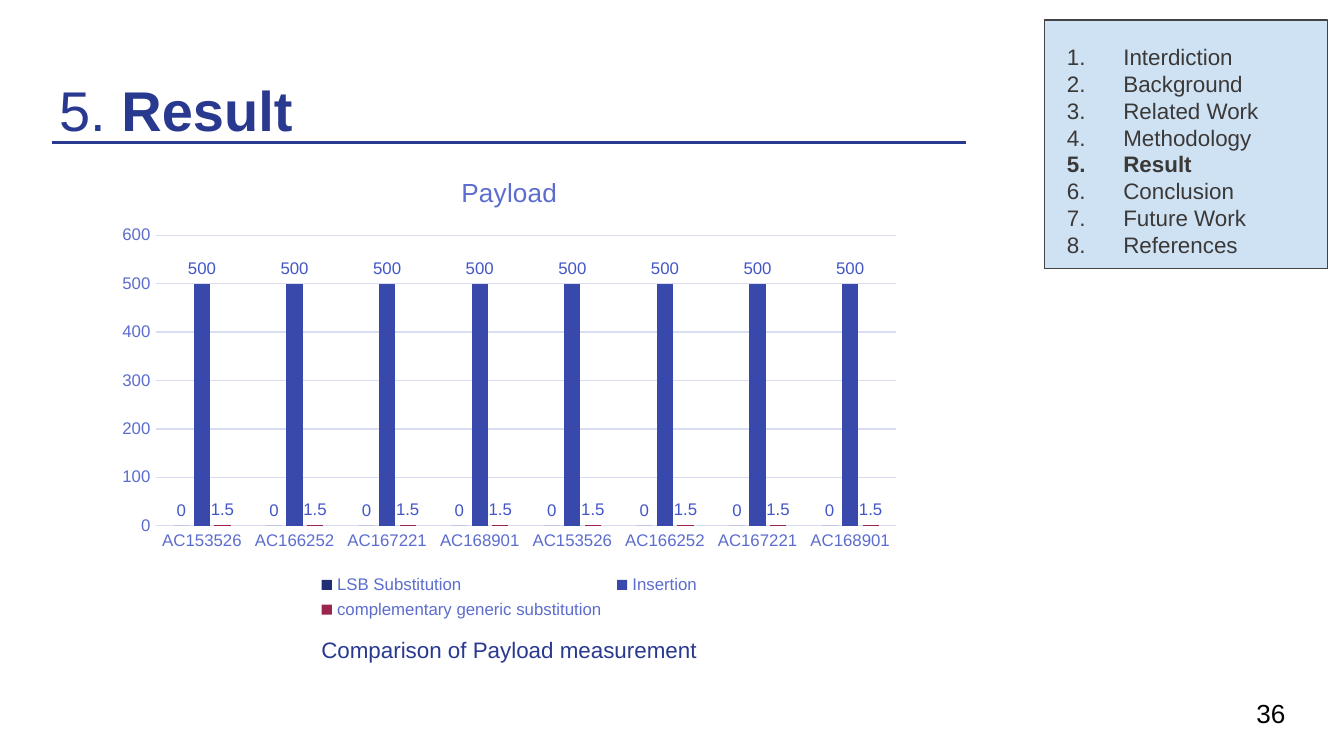
from lxml import etree
from pptx import Presentation
from pptx import util as u
from pptx.chart.data import CategoryChartData
from pptx.dml.color import RGBColor
from pptx.enum import chart as ch, shapes, text
from pptx.oxml import ns

COLORS = {
    "navy": "2A3990", "black": "000000", "gray": "3B3838", "edge": "434343",
    "panel": "CFE2F3", "axis": "5C6DCF", "grid": "D9DDF4", "label": "4356C8",
    "dark": "212D74", "blue": "3949AB", "wine": "9C254D",
}
TOPICS = ["Interdiction", "Background", "Related Work", "Methodology",
          "Result", "Conclusion", "Future Work", "References"]
CODES = ["AC153526", "AC166252", "AC167221", "AC168901"] * 2
SERIES = [
    ("LSB Substitution", 0, "dark"),
    ("Insertion", 500, "blue"),
    ("complementary generic substitution ", 1.5, "wine"),
]


def rgb(name):
    """Look up a palette colour."""
    return RGBColor.from_string(COLORS[name])


def box(*dims):
    """Turn plain numbers into inch lengths."""
    return [u.Inches(n) for n in dims]


def style(font, size, color, bold=None):
    """Set face, size, colour and weight of a font."""
    font.name, font.size, font.bold = "Arial", u.Pt(size), bold
    font.color.rgb = rgb(color)


def setup(frame, anchor, pad=0.1):
    """Set wrap, anchor and insets of a text frame."""
    frame.word_wrap = True
    frame.auto_size = text.MSO_AUTO_SIZE.NONE
    frame.vertical_anchor = anchor
    frame.margin_left = frame.margin_right = u.Inches(0.1)
    frame.margin_top = frame.margin_bottom = u.Inches(pad)


def add_title(slide, number, name):
    """Fill the title placeholder and underline it."""
    title = slide.shapes.title
    title.left, title.top, title.width, title.height = box(0.34, 0.33, 3.07, 0.83)
    setup(title.text_frame, text.MSO_ANCHOR.BOTTOM)
    para = title.text_frame.paragraphs[0]
    para.alignment = text.PP_ALIGN.LEFT
    para.line_spacing = 1.15
    style(para.font, 30, "navy")
    para.add_run().text = number
    run = para.add_run()
    run.text = name
    run.font.bold = True
    rule = slide.shapes.add_connector(
        shapes.MSO_CONNECTOR.STRAIGHT, *box(0.39, 1.06, 7.19, 1.06))
    rule.line.color.rgb = rgb("navy")
    rule.line.width = u.Pt(1.5)
    etree.SubElement(rule._element.spPr, ns.qn("a:effectLst"))


def add_text(slide, dims, words, size, color, align, pad=0.1):
    """Add a one-line text box centred on its height."""
    frame = slide.shapes.add_textbox(*box(*dims)).text_frame
    setup(frame, text.MSO_ANCHOR.MIDDLE, pad)
    para = frame.paragraphs[0]
    para.text, para.alignment = words, align
    style(para.font, size, color)


def number(para):
    """Give a paragraph an automatic number and hanging indent."""
    props = para._p.get_or_add_pPr()
    props.set("marL", str(u.Inches(0.5)))
    props.set("indent", str(u.Inches(-0.42)))
    tint = etree.SubElement(props, ns.qn("a:buClr"))
    etree.SubElement(tint, ns.qn("a:srgbClr"), val=COLORS["gray"])
    etree.SubElement(props, ns.qn("a:buFont"), typeface="Arial")
    etree.SubElement(props, ns.qn("a:buAutoNum"), type="arabicPeriod")


def add_agenda(slide, current):
    """Add the panel of numbered topics with the current one bold."""
    panel = slide.shapes.add_shape(
        shapes.MSO_SHAPE.RECTANGLE, *box(7.77, 0.15, 2.11, 1.85))
    panel.shadow.inherit = False
    panel.fill.solid()
    panel.fill.fore_color.rgb = rgb("panel")
    panel.line.color.rgb = rgb("edge")
    panel.line.width = u.Pt(0.75)
    frame = slide.shapes.add_textbox(*box(7.76, 0.22, 2.11, 1.51)).text_frame
    setup(frame, text.MSO_ANCHOR.TOP)
    for i, topic in enumerate(TOPICS):
        para = frame.add_paragraph() if i else frame.paragraphs[0]
        number(para)
        style(para.font, 12, "gray")
        run = para.add_run()
        run.text = topic
        run.font.bold = topic == current


def style_axis(axis):
    """Drop tick marks and set the label font of an axis."""
    axis.major_tick_mark = axis.minor_tick_mark = ch.XL_TICK_MARK.NONE
    style(axis.tick_labels.font, 9, "axis")


def style_line(line):
    """Draw a thin pale chart line."""
    line.color.rgb = rgb("grid")
    line.width = u.Pt(0.75)


def style_series(series, color):
    """Colour a series and show its values above the bars."""
    series.format.fill.solid()
    series.format.fill.fore_color.rgb = rgb(color)
    series.invert_if_negative = False
    labels = series.data_labels
    labels.show_value = True
    labels.position = ch.XL_LABEL_POSITION.OUTSIDE_END
    style(labels.font, 9, "label")


def add_chart(slide):
    """Add the clustered payload chart."""
    data = CategoryChartData()
    data.categories = CODES
    for name, value, _ in SERIES:
        data.add_series(name, [value] * len(CODES))
    chart = slide.shapes.add_chart(
        ch.XL_CHART_TYPE.COLUMN_CLUSTERED, *box(0.79, 1.15, 6, 3.5), data).chart
    style(chart.font, 10, "navy")
    run = chart.chart_title.text_frame.paragraphs[0].add_run()
    run.text = "Payload"
    style(run.font, 14, "axis", False)
    chart.has_legend = True
    chart.legend.position = ch.XL_LEGEND_POSITION.BOTTOM
    chart.legend.include_in_layout = False
    style(chart.legend.font, 9, "axis")
    style_axis(chart.category_axis)
    style_line(chart.category_axis.format.line)
    values = chart.value_axis
    style_axis(values)
    values.format.line.fill.background()
    style_line(values.major_gridlines.format.line)
    plot = chart.plots[0]
    plot.gap_width, plot.overlap = 219, -27
    plot.vary_by_categories = False
    for series, (_, _, color) in zip(plot.series, SERIES):
        style_series(series, color)


def main():
    """Build and save the result slide."""
    deck = Presentation()
    deck.slide_width = u.Inches(10)
    deck.slide_height = deck.slide_width * 9 // 16
    slide = deck.slides.add_slide(deck.slide_layouts[5])
    add_title(slide, "5. ", "Result")
    add_text(slide, (9.25, 5.09, 0.6, 0.43), "36", 14, "black", text.PP_ALIGN.LEFT)
    add_agenda(slide, "Result")
    add_chart(slide)
    add_text(slide, (1.76, 4.68, 4.06, 0.3), "Comparison of Payload measurement",
             12, "navy", text.PP_ALIGN.CENTER, 0.05)
    deck.save("out.pptx")


if __name__ == "__main__":
    main()
